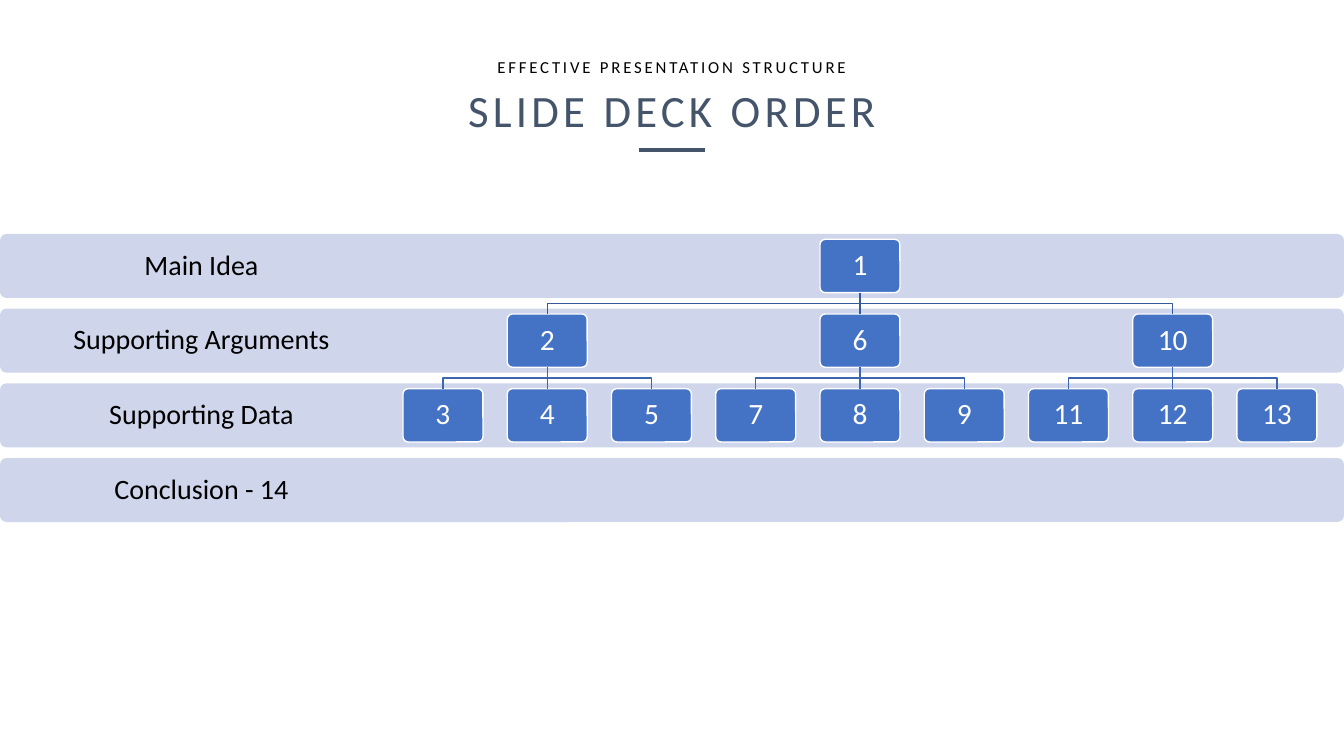
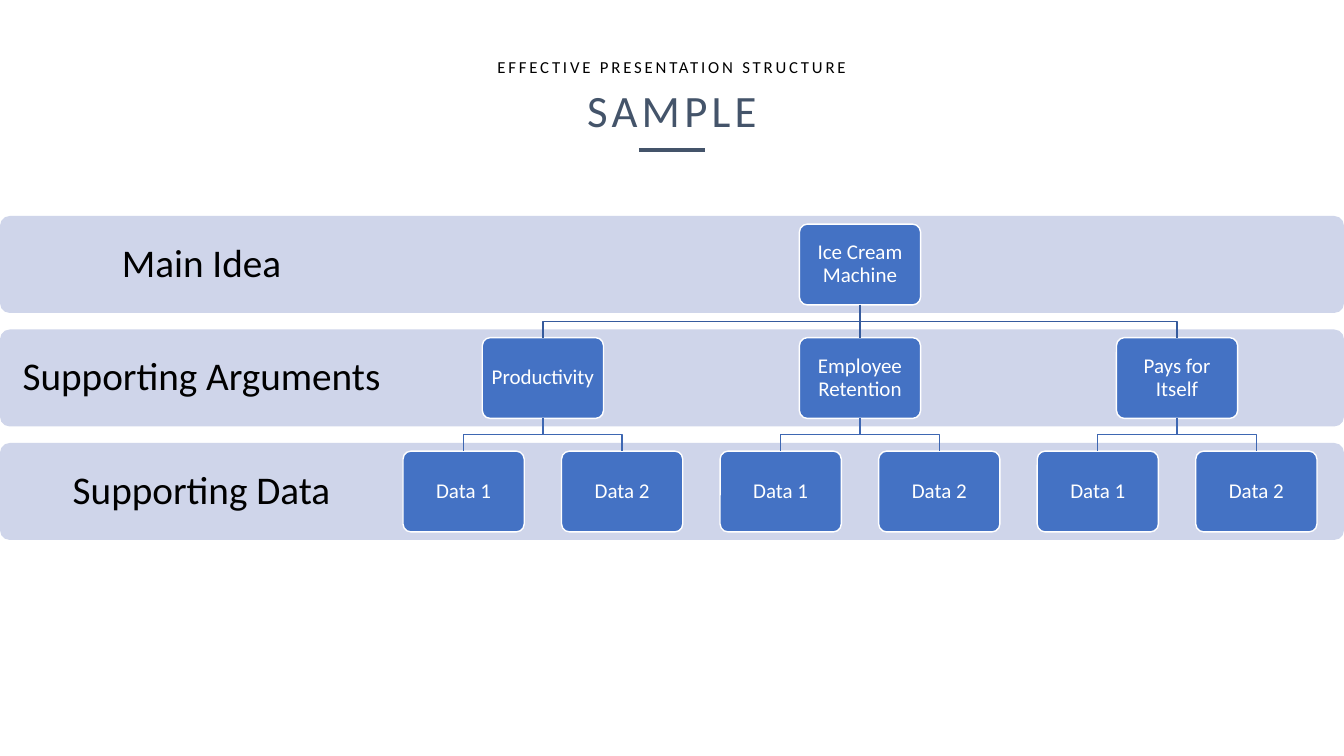
import dataclasses

import lxml.etree
import pptx
import pptx.dml.color
import pptx.enum.shapes
import pptx.enum.text
import pptx.oxml.ns
import pptx.util

WIDE, HIGH = 1344, 756
SCALE = 12192000 / WIDE
SHAPE = pptx.enum.shapes.MSO_SHAPE
STRAIGHT = pptx.enum.shapes.MSO_CONNECTOR.STRAIGHT
ALIGN = pptx.enum.text.PP_ALIGN
ANCHOR = pptx.enum.text.MSO_ANCHOR


@dataclasses.dataclass(frozen=True)
class Theme:
    font: str = "Calibri"
    ink: str = "000000"
    white: str = "FFFFFF"
    title: str = "44546A"
    band: str = "CFD5EA"
    node: str = "4472C4"
    links: tuple = ("365B9D", "3E67B2")
    small: int = 12
    large: int = 32
    thin: int = 1
    thick: int = 3


THEME = Theme()
CAPTION = "EFFECTIVE PRESENTATION STRUCTURE"
ROWS = ["Main Idea", "Supporting Arguments", "Supporting Data"]
ORDER = ("1", [("2", ["3", "4", "5"]),
               ("6", ["7", "8", "9"]),
               ("10", ["11", "12", "13"])])
SAMPLE = ("Ice Cream Machine", [(name, ["Data 1", "Data 2"]) for name in
                                ("Productivity", "Employee Retention", "Pays for Itself")])


def px(value):
    return pptx.util.Emu(round(value * SCALE))


def rgb(code):
    return pptx.dml.color.RGBColor.from_string(code)


def write(shape, text, size, color, inset=(0, 0, 0, 0), track=0, space=0.9):
    """Set centred text; inset is left, top, right, bottom and track is in points."""
    frame = shape.text_frame
    frame.text = text
    frame.word_wrap = True
    frame.vertical_anchor = ANCHOR.MIDDLE
    (frame.margin_left, frame.margin_top,
     frame.margin_right, frame.margin_bottom) = map(px, inset)
    para = frame.paragraphs[0]
    para.alignment = ALIGN.CENTER
    para.line_spacing = space
    run = para.runs[0]
    run.font.name = THEME.font
    run.font.size = pptx.util.Pt(size)
    run.font.color.rgb = rgb(color)
    if track:
        run.font._element.set("spc", str(track * 100))


def ink(line, color, width):
    line.color.rgb = rgb(color)
    line.width = pptx.util.Pt(width)


def stroke(slide, start, end, color, width):
    line = slide.shapes.add_connector(STRAIGHT, *map(px, start + end))
    ink(line.line, color, width)
    lxml.etree.SubElement(line._element.spPr, pptx.oxml.ns.qn("a:effectLst"))
    return line


def round_box(slide, box, fill):
    shape = slide.shapes.add_shape(SHAPE.ROUNDED_RECTANGLE, *map(px, box))
    shape.adjustments[0] = 0.1
    shape.shadow.inherit = False
    shape.fill.solid()
    shape.fill.fore_color.rgb = rgb(fill)
    shape.line.fill.background()
    return shape


def header(slide, title, box):
    left, top, width, height = box
    mid = left + width / 2
    cap = slide.shapes.add_textbox(*map(px, (left, top, width, 50)))
    write(cap, CAPTION, THEME.small, THEME.ink, track=2)
    stroke(slide, (mid - 33, top + height), (mid + 33, top + height),
           THEME.title, THEME.thick)
    head = slide.shapes.add_textbox(*map(px, (left, top + 40, width, 54)))
    write(head, title, THEME.large, THEME.title, track=3, space=1)
    head.text_frame.vertical_anchor = ANCHOR.TOP


def bands(slide, labels, box, row, size, split):
    """Stack labelled bands evenly in the box and return their tops."""
    left, top, width, height = box
    pitch = (height - row) / (len(labels) - 1)
    tops = [top + i * pitch for i in range(len(labels))]
    for label, y in zip(labels, tops):
        band = round_box(slide, (left, y, width, row), THEME.band)
        write(band, label, size, THEME.ink, (12, 0, width - split + 12, 0))
    return tops


def link(slide, upper, lower, color):
    """Join two nodes, each given as shape, middle x, top and bottom."""
    above, x1, _, y1 = upper
    below, x2, y2, _ = lower
    if abs(x1 - x2) < 1:
        line = stroke(slide, (x1, y1), (x2, y2), color, THEME.thin)
        line.begin_connect(above, 2)
        line.end_connect(below, 0)
        return
    bend = (y1 + y2) / 2
    path = slide.shapes.build_freeform(px(x1), px(y1))
    path.add_line_segments([(px(x), px(y)) for x, y in
                            ((x1, bend), (x2, bend), (x2, y2))], close=False)
    elbow = path.convert_to_shape()
    elbow.fill.background()
    elbow.shadow.inherit = False
    ink(elbow.line, color, THEME.thin)


def tree(slide, root, tops, left, right, row, size):
    """Spread the leaves from left to right and centre each parent over its own."""
    wide, high = row * 1.25, row * 5 / 6
    count = sum(len(kids) for _, kids in root[1])
    pitch = (right - left - wide) / (count - 1)
    spots = iter([left + wide / 2 + i * pitch for i in range(count)])

    def grow(item, depth):
        text, kids = (item, []) if isinstance(item, str) else item
        below = [grow(kid, depth + 1) for kid in kids]
        mid = (below[0][1] + below[-1][1]) / 2 if below else next(spots)
        y = tops[depth] + (row - high) / 2
        shape = round_box(slide, (mid - wide / 2, y, wide, high), THEME.node)
        ink(shape.line, THEME.white, THEME.thin)
        write(shape, text, size, THEME.white, (5, 5, 5, 5))
        node = (shape, mid, y, y + high)
        for kid in below:
            link(slide, node, kid, THEME.links[depth])
        return node

    grow(root, 0)


def chart(deck, title, labels, root, top, height, row, sizes):
    slide = deck.slides.add_slide(deck.slide_layouts[6])
    split = 403
    tops = bands(slide, labels, (0, top, WIDE, height), row, sizes[0], split)
    tree(slide, root, tops, split, WIDE - 27, row, sizes[1])
    header(slide, title, (304, 43, 736, 107))


def main():
    deck = pptx.Presentation()
    deck.slide_width, deck.slide_height = px(WIDE), px(HIGH)
    chart(deck, "SLIDE DECK ORDER", ROWS + ["Conclusion - 14"], ORDER,
          234, 288, 64, (20, 21))
    chart(deck, "SAMPLE", ROWS, SAMPLE, 216, 324, 97, (28, 15))
    deck.save("out.pptx")


if __name__ == "__main__":
    main()
